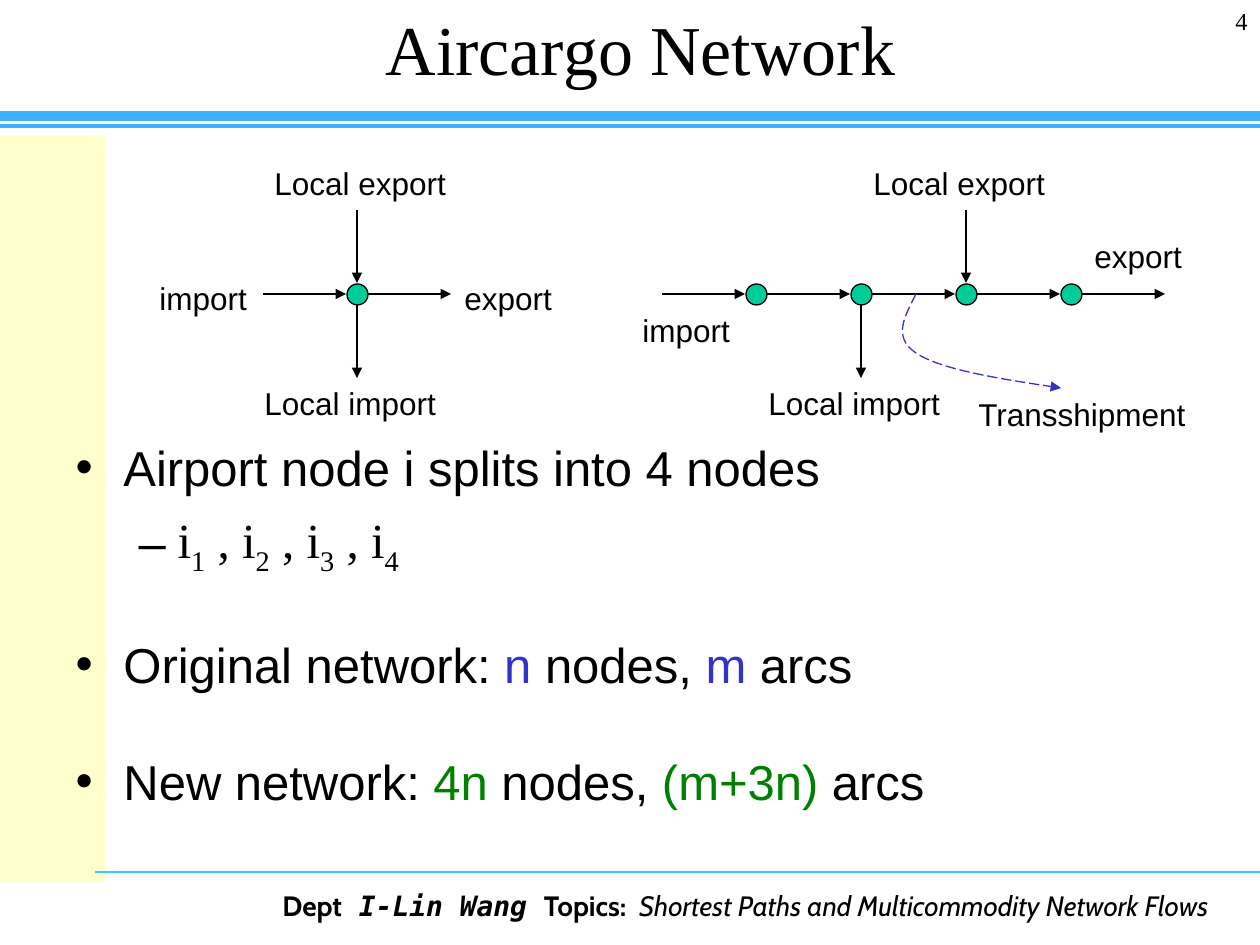
import pptx
import pptx.util
import pptx.dml.color
import pptx.enum.dml
import pptx.enum.shapes
import pptx.enum.text
import pptx.oxml
import pptx.oxml.ns

PX = 914400 / 126
SANS, SERIF, CABIN, MONO = "Arial", "Times New Roman", "Cabin", "DejaVu Sans Mono"
BLACK, BLUE, GREEN = "000000", "3333CC", "008000"
SKY, CYAN, TEAL, YELLOW = "3DB0FF", "33CCFF", "00CC99", "FFFF99"
AXIS, STEP, RADIUS, STEM = 294, 105, 11, 73
ALIGN = pptx.enum.text.PP_ALIGN

TITLE = "Aircargo Network"
FOOTER = [("Dept", CABIN, True, False), (" I-Lin Wang ", MONO, True, True),
          ("Topics:", CABIN, True, False), (" ", MONO, True, False),
          ("Shortest Paths and Multicommodity Network Flows", CABIN, False, True)]
RULES = [(0, 126, SKY, 2), (0, 116, SKY, 6), (95, 872, CYAN, 0.75)]
BULLETS = [
    (0, 0, SANS, [("Airport node i splits into 4 nodes", BLACK)]),
    (1, 8, SERIF, [("i", BLACK), ("1", "sub"), (" , i", BLACK), ("2", "sub"),
                   (" , i", BLACK), ("3", "sub"), (" , i", BLACK), ("4", "sub")]),
    (0, 33, SANS, [("Original network: ", BLACK), ("n", BLUE), (" nodes, ", BLACK),
                   ("m", BLUE), (" arcs", BLACK)]),
    (0, 33, SANS, [("New network: ", BLACK), ("4n", GREEN), (" nodes, ", BLACK),
                   ("(m+3n)", GREEN), (" arcs", BLACK)]),
]
LEVELS = [("•", 0.38, 0.38), ("–", 0.81, 0.31)]
NETWORKS = [
    {"nodes": [357], "export": 357, "import": 357,
     "labels": [("Local export", 262, 158, 200), ("import", 147, 273, 118),
                ("export", 452, 273, 118), ("Local import", 252, 378, 200)]},
    {"nodes": [756 + STEP * i for i in range(4)], "export": 966, "import": 861,
     "labels": [("import", 630, 305, 118), ("Local export", 861, 158, 200),
                ("Local import", 756, 378, 200), ("export", 1082, 231, 118),
                ("Transshipment", 966, 389, 236)]},
]
CURVE = [(916, 294), (905, 316), (892, 337), (916, 353), (940, 369), (1000, 379), (1061, 388)]


def px(*values):
    return [round(v * PX) for v in values]


def rgb(color):
    return pptx.dml.color.RGBColor.from_string(color)


def child(parent, tag, **attrs):
    el = parent.makeelement(pptx.oxml.ns.qn(tag), attrs)
    parent.append(el)
    return el


def style_font(font, name, size, color=BLACK):
    font.name, font.size = name, pptx.util.Pt(size)
    font.color.rgb = rgb(color)


def style_line(sp, color, width, arrow=False):
    sp.line.color.rgb = rgb(color)
    sp.line.width = pptx.util.Pt(width)
    if arrow:
        child(sp.line._get_or_add_ln(), "a:tailEnd", type="triangle")


def add_line(s, x1, y1, x2, y2, color=BLACK, width=0.75, arrow=True):
    sp = s.shapes.add_connector(pptx.enum.shapes.MSO_CONNECTOR.STRAIGHT, *px(x1, y1, x2, y2))
    style_line(sp, color, width, arrow)
    child(sp._element.spPr, "a:effectLst")


def add_text(s, text, x, y, w, h, font=SANS, size=18, align=ALIGN.LEFT):
    sp = s.shapes.add_textbox(*px(x, y, w, h))
    sp.text_frame.word_wrap = True
    p = sp.text_frame.paragraphs[0]
    p.text, p.alignment = text, align
    for r in p.runs:
        style_font(r.font, font, size)
    return p


def add_shape(s, kind, color, x, y, w, h):
    sp = s.shapes.add_shape(kind, *px(x, y, w, h))
    sp.shadow.inherit = False
    sp.fill.solid()
    sp.fill.fore_color.rgb = rgb(color)
    sp.line.fill.background()
    return sp


def add_frame(s):
    band = add_shape(s, pptx.enum.shapes.MSO_SHAPE.RECTANGLE, YELLOW, 0, 136, 105, 746)
    clr = next(band._element.spPr.iter(pptx.oxml.ns.qn("a:srgbClr")))
    child(clr, "a:alpha", val="50000")
    for x, y, color, width in RULES:
        add_line(s, x, y, 1260, y, color, width, False)
    p = add_text(s, "", 231, 882, 1029, 63, align=ALIGN.CENTER)
    for text, font, bold, italic in FOOTER:
        r = p.add_run()
        r.text = text
        style_font(r.font, font, 16 if text.strip() else 12)
        r.font.bold, r.font.italic = bold, italic
    add_text(s, "4", 1155, 0, 105, 63, SERIF, 14, ALIGN.RIGHT)


def place(s, sp, x, y, w, h):
    sp.left, sp.top, sp.width, sp.height = px(x, y, w, h)
    sp.text_frame.auto_size = pptx.enum.text.MSO_AUTO_SIZE.NONE
    s.shapes._spTree.append(sp._element)
    return sp.text_frame


def fill_title(s):
    tf = place(s, s.shapes.title, 147, 0, 987, 95)
    tf.text = TITLE
    tf.vertical_anchor = pptx.enum.text.MSO_ANCHOR.MIDDLE
    tf.paragraphs[0].alignment = ALIGN.CENTER
    style_font(tf.paragraphs[0].runs[0].font, SERIF, 40)


def fill_body(s):
    tf = place(s, s.placeholders[1], 63, 136, 1155, 746)
    tf.margin_top = px(301)[0]
    for i, (level, before, font, runs) in enumerate(BULLETS):
        p = tf.add_paragraph() if i else tf.paragraphs[0]
        char, left, hang = LEVELS[level]
        p.level, p.space_before = level, pptx.util.Pt(before)
        pPr = p._p.get_or_add_pPr()
        pPr.set("marL", str(pptx.util.Inches(left)))
        pPr.set("indent", str(-pptx.util.Inches(hang)))
        child(pPr, "a:buChar", char=char)
        for text, color in runs:
            r = p.add_run()
            r.text = text
            style_font(r.font, font, 28, BLACK if color == "sub" else color)
            if color == "sub":
                r.font._element.set("baseline", "-25000")


def add_network(s, network):
    for x in network["nodes"]:
        sp = add_shape(s, pptx.enum.shapes.MSO_SHAPE.OVAL, TEAL, x - 10, AXIS - 10, 21, 21)
        style_line(sp, BLACK, 0.75)
    for x in [network["nodes"][0] - STEP] + network["nodes"]:
        add_line(s, x + RADIUS, AXIS, x + STEP - RADIUS, AXIS)
    top, bottom = AXIS - RADIUS, AXIS + RADIUS
    add_line(s, network["export"], top - STEM, network["export"], top)
    add_line(s, network["import"], bottom, network["import"], bottom + STEM)
    for text, x, y, w in network["labels"]:
        add_text(s, text, x, y, w, 50)


def add_curve(s):
    fb = s.shapes.build_freeform(*CURVE[0], scale=PX)
    fb.add_line_segments(CURVE[1:], close=False)
    sp = fb.convert_to_shape()
    sp.shadow.inherit = False
    sp.fill.background()
    style_line(sp, BLUE, 0.75, True)
    sp.line.dash_style = pptx.enum.dml.MSO_LINE.LONG_DASH
    segments = list(sp._element.iter(pptx.oxml.ns.qn("a:lnTo")))
    outline = segments[0].getparent()
    for i in range(0, len(segments), 3):
        bezier = child(outline, "a:cubicBezTo")
        for segment in segments[i:i + 3]:
            bezier.append(segment[0])
            outline.remove(segment)


def main():
    prs = pptx.Presentation()
    prs.slide_width, prs.slide_height = px(1260, 945)
    s = prs.slides.add_slide(prs.slide_layouts[1])
    add_frame(s)
    fill_title(s)
    fill_body(s)
    for network in NETWORKS:
        add_network(s, network)
    add_curve(s)
    prs.save("out.pptx")


if __name__ == "__main__":
    main()
